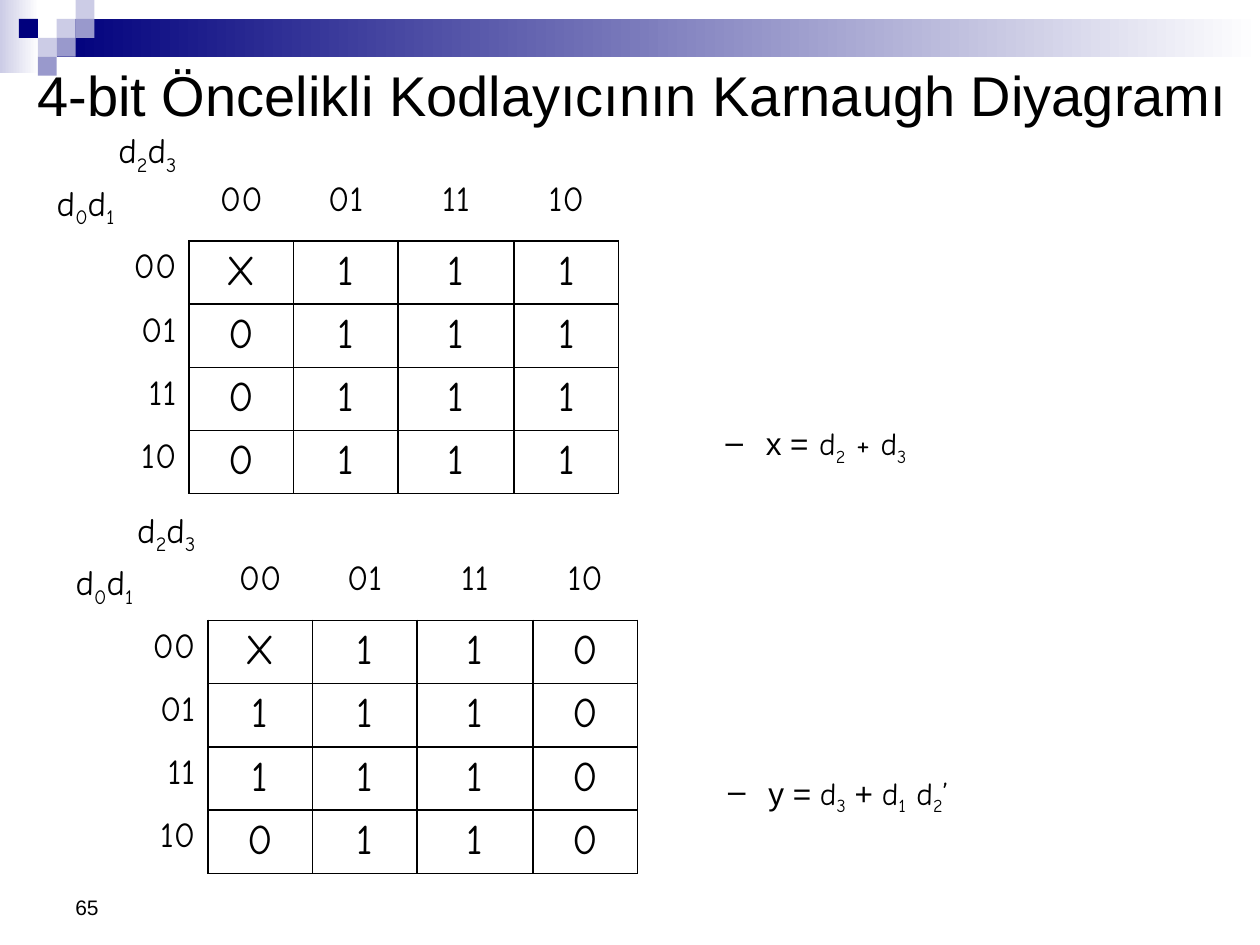
import pptx
import pptx.util
import pptx.dml.color
import pptx.enum.shapes
import pptx.enum.text
import pptx.oxml
import pptx.oxml.ns
from dataclasses import dataclass

ALIGN = pptx.enum.text.PP_ALIGN
ANCHOR = pptx.enum.text.MSO_ANCHOR


@dataclass(frozen=True)
class Theme:
    ink: str = "000000"
    navy: str = "00007D"
    mid: str = "9999CC"
    pale: str = "CCCCE6"
    white: str = "FFFFFF"
    sans: str = "Arial"
    hand: str = "Comic Neue"
    title: int = 32
    value: int = 24
    label: int = 20
    formula: int = 18
    number: int = 12
    line: int = 1


def rgb(value):
    return pptx.dml.color.RGBColor.from_string(value)


def assign(obj, values):
    for name, value in values.items():
        setattr(obj, name, value)


class Deck:
    columns, rows = 100, 75

    def __init__(self, theme):
        self.theme = theme
        self.prs = pptx.Presentation()
        assign(self.prs, {"slide_width": pptx.util.Inches(10),
                          "slide_height": pptx.util.Inches(7.5)})
        self.s = self.prs.slides.add_slide(self.prs.slide_layouts[6])

    def x(self, columns):
        return round(self.prs.slide_width * columns / self.columns)

    def y(self, rows):
        return round(self.prs.slide_height * rows / self.rows)

    def box(self, left, top, width, height):
        return self.x(left), self.y(top), self.x(width), self.y(height)

    def rect(self, place, *colors):
        kind = pptx.enum.shapes.MSO_SHAPE.RECTANGLE
        sp = self.s.shapes.add_shape(kind, *self.box(*place))
        sp.shadow.inherit = False
        sp.line.fill.background()
        if len(colors) == 1:
            sp.fill.solid()
            sp.fill.fore_color.rgb = rgb(colors[0])
            return
        sp.fill.gradient()
        sp.fill.gradient_angle = 0
        for stop, color in zip(sp.fill.gradient_stops, colors):
            stop.color.rgb = rgb(color)

    def add_runs(self, p, text, size, font):
        head, *tails = text.split("_")
        parts = [(head, False)]
        for tail in tails:
            parts += [(tail[:1], True), (tail[1:], False)]
        for part, lowered in parts:
            if not part:
                continue
            r = p.add_run()
            r.text = part
            assign(r.font, {"size": pptx.util.Pt(size), "name": font})
            r.font.color.rgb = rgb(self.theme.ink)
            if lowered:
                r._r.get_or_add_rPr().set("baseline", "-25000")

    def text(self, place, segments, size, anchor=ANCHOR.TOP, bullet=None):
        tf = self.s.shapes.add_textbox(*self.box(*place)).text_frame
        assign(tf, {"word_wrap": True, "vertical_anchor": anchor})
        p = tf.paragraphs[0]
        if bullet:
            pPr = p._p.get_or_add_pPr()
            pPr.set("marL", str(self.x(5)))
            pPr.set("indent", str(-self.x(2.5)))
            pPr.append(pptx.oxml.parse_xml(
                f'<a:buChar {pptx.oxml.ns.nsdecls("a")} char="{bullet}"/>'))
        for font, text in segments:
            self.add_runs(p, text, size, font)

    def borders(self, cell, shown):
        tcPr = cell._tc.get_or_add_tcPr()
        for i, side in enumerate("LRTB"):
            fill = (f'<a:solidFill><a:srgbClr val="{self.theme.ink}"/></a:solidFill>'
                    if side in shown else "<a:noFill/>")
            tcPr.insert(i, pptx.oxml.parse_xml(
                f'<a:ln{side} {pptx.oxml.ns.nsdecls("a")} '
                f'w="{pptx.util.Pt(self.theme.line)}">{fill}</a:ln{side}>'))

    def cell(self, cell, lines, size, shown):
        cell.fill.background()
        self.borders(cell, shown)
        tf = cell.text_frame
        for i, (text, align) in enumerate(lines):
            p = tf.add_paragraph() if i else tf.paragraphs[0]
            p.alignment = align
            if i:
                p.space_before = pptx.util.Pt(size * 0.2)
            self.add_runs(p, text, size, self.theme.hand)

    def karnaugh(self, left, top, header, row, values):
        t, codes = self.theme, ("00", "01", "11", "10")
        widths = (11.5, 8.3, 8.3, 9.2, 8.3)
        heights = (header, *[row] * len(codes))
        place = self.box(left, top, sum(widths), sum(heights))
        table = self.s.shapes.add_table(len(heights), len(widths), *place).table
        assign(table, {"first_row": False, "horz_banding": False})
        for column, width in zip(table.columns, widths):
            column.width = self.x(width)
        for line, height in zip(table.rows, heights):
            line.height = self.y(height)
        self.cell(table.cell(0, 0), [("d_2d_3", ALIGN.RIGHT),
                                     ("d_0d_1", ALIGN.LEFT)], t.label, "")
        for i, code in enumerate(codes, 1):
            heading = table.cell(0, i)
            heading.margin_top = self.y(4.3)
            self.cell(heading, [(code, ALIGN.CENTER)], t.label, "B")
            self.cell(table.cell(i, 0), [(code, ALIGN.RIGHT)], t.label, "R")
            for j, value in enumerate(values[i - 1], 1):
                self.cell(table.cell(i, j), [(value, ALIGN.CENTER)],
                          t.value, "LRTB")


def main():
    t = Theme()
    deck = Deck(t)
    deck.rect((0, 0, 3.1, 5.8), t.pale, t.white)
    deck.rect((4.5, 1.5, 95.5, 3), t.navy, t.white)
    tile = 1.5
    for column, row, color in ((3, 1, t.pale), (4, 0, t.pale), (4, 1, t.mid),
                               (2, 2, t.pale), (1, 1, t.navy), (3, 2, t.mid),
                               (2, 3, t.mid)):
        deck.rect((column * tile, row * tile, tile, tile), color)
    deck.text((5, 68.3, 23.3, 5.2), [(t.sans, "65")], t.number, ANCHOR.BOTTOM)
    deck.text((2, 4.2, 98, 6.5),
              [(t.sans, "4-bit Öncelikli Kodlayıcının Karnaugh Diyagramı")],
              t.title, ANCHOR.MIDDLE)
    deck.karnaugh(3.5, 10, 8.7, 4.85, ("X111", "0111", "0111", "0111"))
    deck.text((54.1, 33.2, 20.9, 4),
              [(t.sans, " x ="), (t.hand, " d_2 + d_3")], t.formula, bullet="–")
    deck.karnaugh(5, 40.1, 9.1, 5.02, ("X110", "1110", "1110", "0110"))
    deck.text((54.3, 60.9, 25.2, 4),
              [(t.sans, " y = "), (t.hand, "d_3"), (t.sans, " + "),
               (t.hand, "d_1 d_2’")], t.formula, bullet="–")
    deck.prs.save("out.pptx")


if __name__ == "__main__":
    main()
